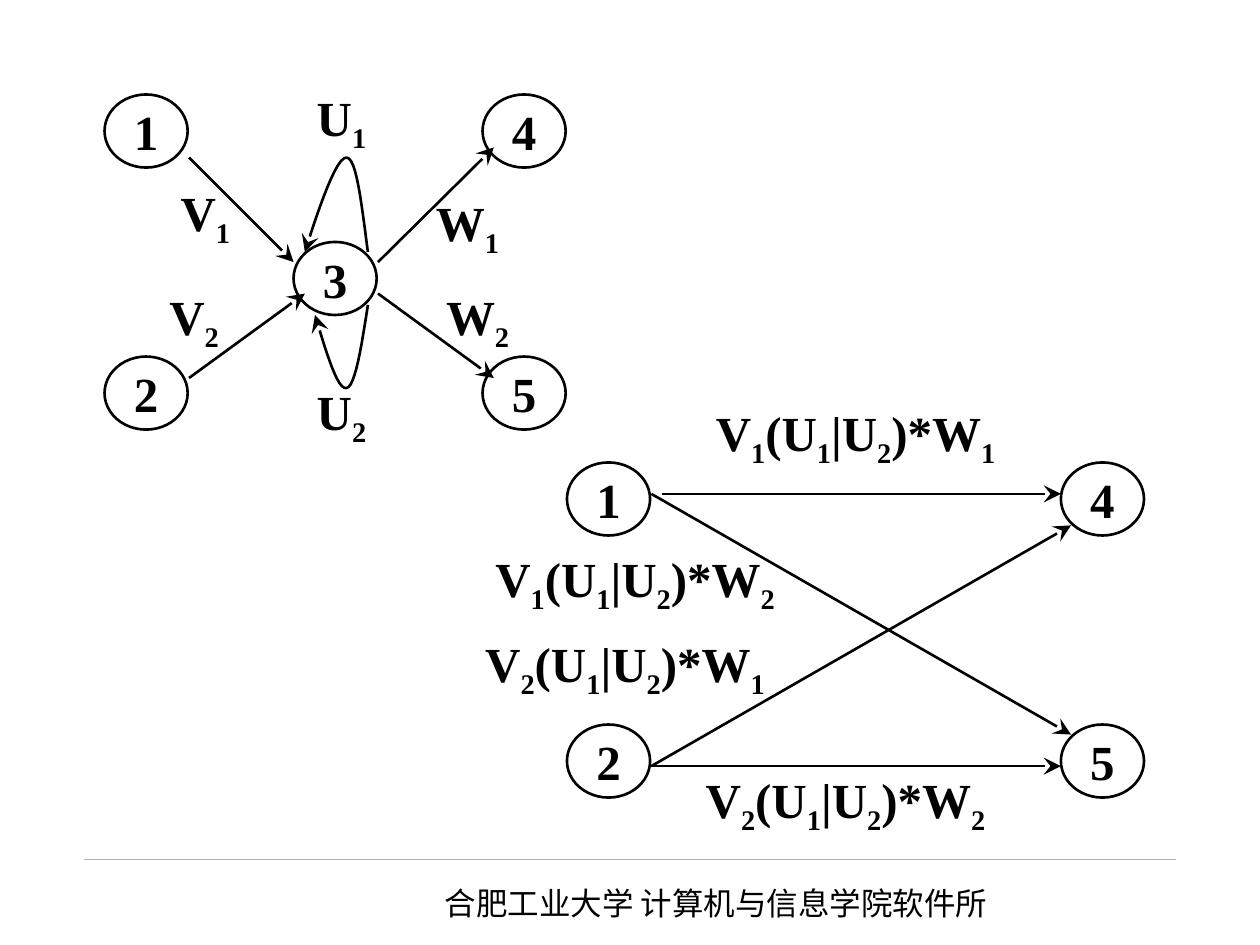
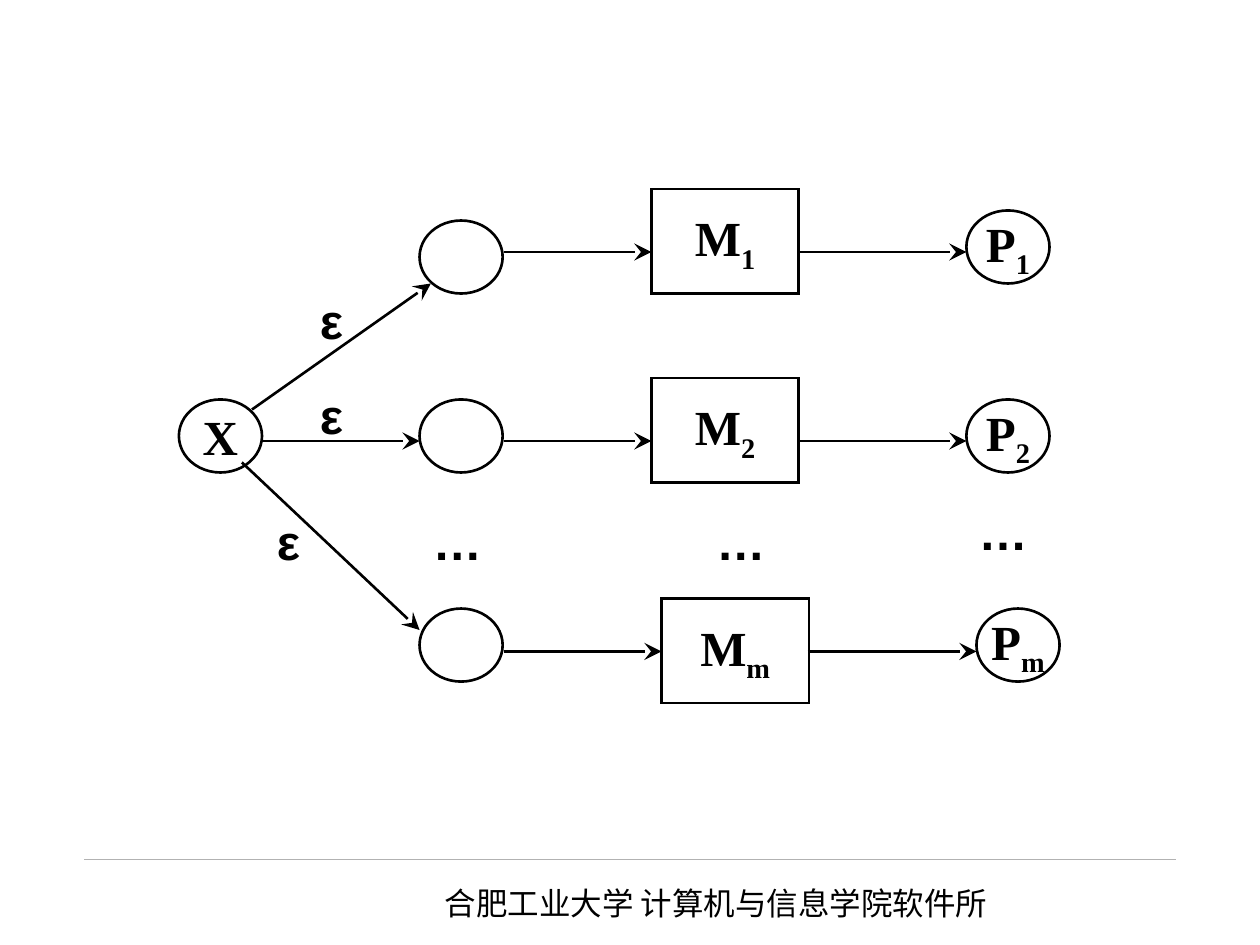
from dataclasses import dataclass
from lxml import etree
from pptx import Presentation
from pptx.dml.color import RGBColor
from pptx.enum.shapes import MSO_CONNECTOR, MSO_SHAPE
from pptx.enum.text import MSO_ANCHOR, MSO_AUTO_SIZE, PP_ALIGN
from pptx.oxml.ns import qn
from pptx.util import Inches, Pt

OVAL = MSO_SHAPE.OVAL
RECTANGLE = MSO_SHAPE.RECTANGLE
STRAIGHT = MSO_CONNECTOR.STRAIGHT
MIDDLE = MSO_ANCHOR.MIDDLE
TOP = MSO_ANCHOR.TOP
CENTER = PP_ALIGN.CENTER
LEFT = PP_ALIGN.LEFT
FIT_SHAPE = MSO_AUTO_SIZE.SHAPE_TO_FIT_TEXT


@dataclass(frozen=True)
class Theme:
    ink: RGBColor = RGBColor(0, 0, 0)
    rule: RGBColor = RGBColor(0xB2, 0xB2, 0xB2)
    serif: str = "Times New Roman"
    sans: str = "Arial"
    chinese: str = "Noto Sans CJK SC"
    label_size: float = 28
    footer_size: float = 18
    line_width: float = 1.5
    rule_width: float = 0.25


theme = Theme()
NODE = (0.66, 0.58)
SHORT_LABEL = (0.92, 0.58)
LONG_LABEL = (1.92, 0.58)
BOX = (1.17, 0.83)


def add_text(slide, text, position, size, outline=None, font=theme.serif,
             points=theme.label_size, bold=True, align=CENTER, anchor=MIDDLE,
             wrap=False, space_before=0, auto_size=None):
    frame = [Inches(value) for value in (*position, *size)]
    shape = slide.shapes.add_shape(outline or RECTANGLE, *frame)
    shape.shadow.inherit = False
    shape.fill.background()
    if outline is None:
        shape.line.fill.background()
    else:
        shape.line.color.rgb = theme.ink
        shape.line.width = Pt(theme.line_width)
        border = shape.element.spPr.find(qn("a:ln"))
        etree.SubElement(border, qn("a:miter")).set("lim", "800000")
    if not text:
        return
    text_frame = shape.text_frame
    text_frame.word_wrap = wrap
    text_frame.vertical_anchor = anchor
    if auto_size is not None:
        text_frame.auto_size = auto_size
    paragraph = text_frame.paragraphs[0]
    paragraph.alignment = align
    paragraph.space_before = Pt(space_before)
    first, *marked = text.split("_")
    pieces = [(first, False)]
    for piece in marked:
        pieces += [(piece[0], True), (piece[1:], False)]
    for piece, subscript in pieces:
        if not piece:
            continue
        run = paragraph.add_run()
        run.text = piece
        run.font.name = font
        run.font.size = Pt(points)
        run.font.bold = bold
        run.font.color.rgb = theme.ink
        properties = run.font._element
        etree.SubElement(properties, qn("a:ea")).set("typeface", font)
        if subscript:
            properties.set("baseline", "-25000")


def add_line(slide, *points, color=theme.ink, width=theme.line_width, arrow=True):
    corners = [(Inches(x), Inches(y)) for x, y in points]
    if len(corners) == 2:
        shape = slide.shapes.add_connector(STRAIGHT, *corners[0], *corners[1])
    else:
        builder = slide.shapes.build_freeform(*corners[0])
        builder.add_line_segments(corners[1:], close=False)
        shape = builder.convert_to_shape()
        shape.fill.background()
    shape.line.color.rgb = color
    shape.line.width = Pt(width)
    properties = shape.element.spPr
    if arrow:
        head = etree.SubElement(properties.find(qn("a:ln")), qn("a:tailEnd"))
        for name, value in (("type", "stealth"), ("w", "lg"), ("len", "lg")):
            head.set(name, value)
    etree.SubElement(properties, qn("a:effectLst"))


presentation = Presentation()
presentation.slide_width = Inches(10)
presentation.slide_height = Inches(7.5)
blank_layout = presentation.slide_layouts[6]
elimination, combination = [presentation.slides.add_slide(blank_layout) for _ in range(2)]

for slide in (elimination, combination):
    add_line(slide, (0.67, 6.82), (9.33, 6.82), color=theme.rule,
             width=theme.rule_width, arrow=False)
    add_text(slide, "合肥工业大学 计算机与信息学院软件所", (3.43, 6.97), (4.72, 0.4),
             font=theme.chinese, points=theme.footer_size, bold=False, align=LEFT,
             anchor=TOP, wrap=True, space_before=11.2, auto_size=FIT_SHAPE)

states = [
    ("1", 0.83, 0.75), ("2", 0.83, 2.83), ("3", 2.33, 1.92),
    ("5", 3.83, 2.83), ("4", 3.83, 0.75),
    ("1", 4.5, 3.67), ("2", 4.5, 5.75), ("5", 8.42, 5.75), ("4", 8.42, 3.67),
]
for name, left, top in states:
    add_text(elimination, name, (left, top), NODE, OVAL)

edge_labels = [
    ("U_1", 2.25, 0.67), ("V_1", 1.17, 1.42), ("U_2", 2.25, 3),
    ("V_2", 1.08, 2.25), ("W_2", 3.33, 2.25), ("W_1", 3.25, 1.5),
]
for label, left, top in edge_labels:
    add_text(elimination, label, (left, top), SHORT_LABEL)

merged_labels = [(1, 1, 5.83, 3.17), (1, 2, 4.08, 4.33), (2, 2, 5.75, 6.08), (2, 1, 4, 5)]
for source, target, left, top in merged_labels:
    add_text(elimination, f"V_{source}(U_1|U_2)*W_{target}", (left, top), LONG_LABEL)

transitions = [
    ((1.5, 1.25), (2.33, 2.08)), ((1.5, 3), (2.42, 2.33)),
    ((3, 2.08), (3.92, 1.17)), ((3, 2.33), (3.92, 3)),
    ((5.25, 3.92), (8.42, 3.92)), ((5.17, 6.08), (8.42, 6.08)),
    ((5.17, 6.08), (8.5, 4.17)), ((5.17, 3.92), (8.5, 5.83)),
]
for start, end in transitions:
    add_line(elimination, start, end)

self_loops = [
    [(2.92, 2), (2.87, 1.62), (2.83, 1.25), (2.75, 1.25),
     (2.67, 1.25), (2.54, 1.62), (2.42, 2)],
    [(2.92, 2.42), (2.87, 2.74), (2.82, 3.07), (2.75, 3.08),
     (2.68, 3.1), (2.59, 2.8), (2.5, 2.5)],
]
STEPS = 12
for controls in self_loops:
    curve = [controls[0]]
    for first in (0, 3):
        for step in range(1, STEPS + 1):
            t = step / STEPS
            weights = ((1 - t) ** 3, 3 * t * (1 - t) ** 2, 3 * t ** 2 * (1 - t), t ** 3)
            curve.append([sum(weight * point[axis] for weight, point
                              in zip(weights, controls[first:first + 4])) for axis in (0, 1)])
    add_line(elimination, *curve)

add_text(combination, "X", (1.42, 3.17), NODE, OVAL)

branches = [
    ("1", 0, 2, 1.75, 1.5, 1.67),
    ("2", 0, 3.5, 3.17, 3, 3.17),
    ("m", 0.08, 5.17, 4.83, 4.75, 4.83),
]
for index, shift, arrow_y, start_top, machine_top, final_top in branches:
    add_text(combination, "", (3.33, start_top), NODE, OVAL)
    add_text(combination, f"M_{index}", (5.17 + shift, machine_top), BOX, RECTANGLE)
    add_text(combination, f"P_{index}", (7.67 + shift, final_top), NODE, OVAL)
    add_line(combination, (4, arrow_y), (5.17 + shift, arrow_y))
    add_line(combination, (6.33 + shift, arrow_y), (7.67 + shift, arrow_y))

epsilon_moves = [
    ((2, 3.25), (3.42, 2.25), (2.17, 2.25)),
    ((2.08, 3.5), (3.33, 3.5), (2.17, 3)),
    ((1.92, 3.67), (3.33, 5), (1.83, 4)),
]
for start, end, label_position in epsilon_moves:
    add_line(combination, start, end)
    add_text(combination, "ε", label_position, SHORT_LABEL, font=theme.sans)

for position in ((3.17, 4), (5.42, 4), (7.5, 3.92)):
    add_text(combination, "…", position, SHORT_LABEL, font=theme.sans)

presentation.save("out.pptx")
